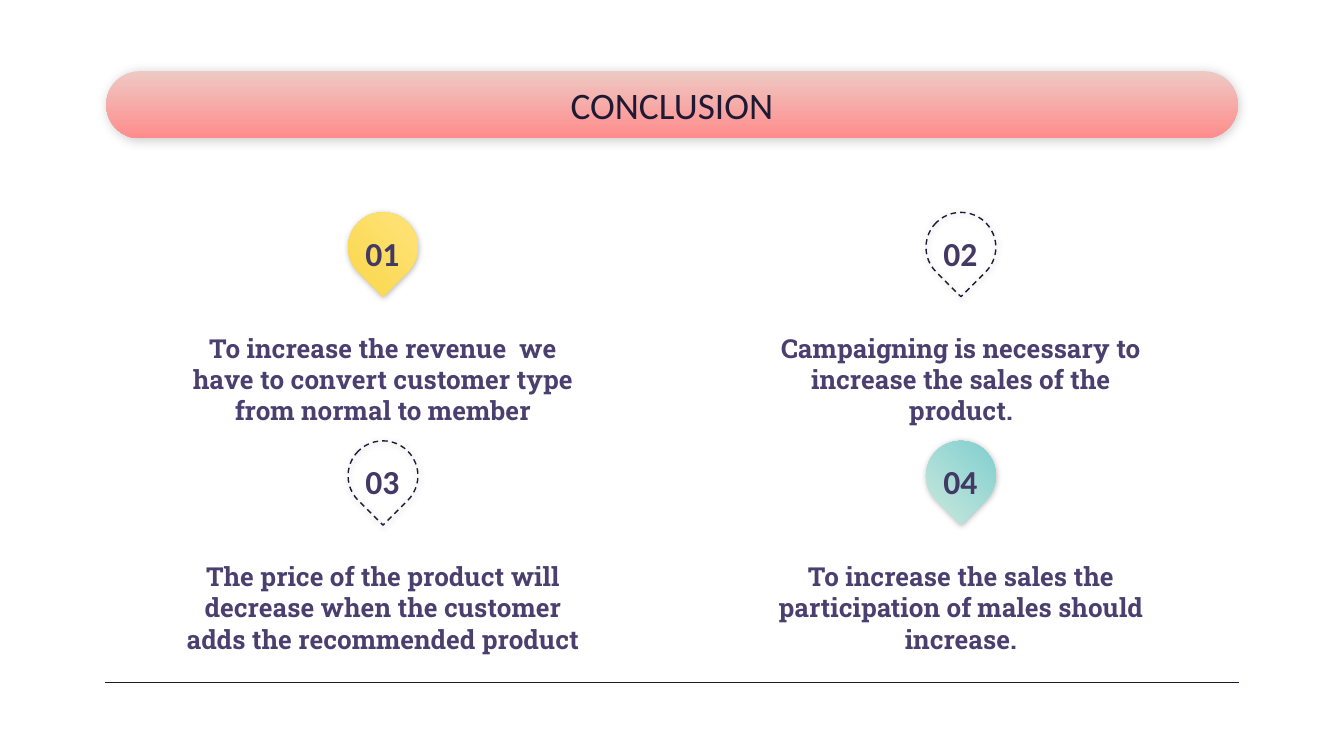
from dataclasses import dataclass

from lxml import etree
from pptx import Presentation
from pptx.dml.color import RGBColor
from pptx.enum.dml import MSO_LINE
from pptx.enum.shapes import MSO_CONNECTOR, MSO_SHAPE as SHAPE
from pptx.enum.text import MSO_ANCHOR as ANCHOR, PP_ALIGN as ALIGN
from pptx.oxml.ns import qn
from pptx.util import Inches, Pt


@dataclass(frozen=True)
class Theme:
    ink: str = "1F1A33"
    number: str = "423A64"
    body: str = "49406F"
    coral: tuple = ("EEC9C3", "FF8C8C")
    yellow: tuple = ("FAD647", "FFE582")
    teal: tuple = ("D4EBDE", "70CACD")
    sans: str = "Calibri"
    slab: str = "Roboto Slab"
    title_size: int = 20
    number_size: int = 18
    body_size: int = 14


theme = Theme()
deck = Presentation()
deck.slide_width, deck.slide_height = Inches(10), Inches(10 * 9 / 16)
page = deck.slides.add_slide(deck.slide_layouts[6])


def add_text(text, *, left, top, width, height, font, size, color,
             bold=False, anchor=ANCHOR.TOP):
    box = page.shapes.add_textbox(
        Inches(left), Inches(top), Inches(width), Inches(height))
    frame = box.text_frame
    frame.word_wrap = True
    frame.vertical_anchor = anchor
    frame.margin_left = frame.margin_right = Inches(0.1)
    frame.margin_top = frame.margin_bottom = Inches(0.1)
    para = frame.paragraphs[0]
    para.alignment = ALIGN.CENTER
    span = para.add_run()
    span.text = text
    span.font.name = font
    span.font.size = Pt(size)
    span.font.bold = bold
    span.font.color.rgb = RGBColor.from_string(color)


def style_shape(shape, *, gradient, blur, opacity):
    """Fill with a vertical gradient, or dash the outline if there is none; add a soft shadow."""
    if gradient:
        shape.fill.gradient()
        shape.fill.gradient_angle = 270
        for stop, color, position in zip(shape.fill.gradient_stops, gradient, (0, 1)):
            stop.color.rgb = RGBColor.from_string(color)
            stop.position = position
        shape.line.fill.background()
    else:
        shape.fill.background()
        shape.line.color.rgb = RGBColor.from_string(theme.ink)
        shape.line.width = Pt(0.75)
        shape.line.dash_style = MSO_LINE.DASH
    shape.shadow.inherit = False
    effects = shape._element.spPr.find(qn("a:effectLst"))
    shadow = etree.SubElement(
        effects, qn("a:outerShdw"), blurRad=str(Pt(blur)), dist=str(Pt(0.8)),
        dir=str(66 * 60000), algn="bl", rotWithShape="0")
    tone = etree.SubElement(shadow, qn("a:srgbClr"), val="000000")
    etree.SubElement(tone, qn("a:alpha"), val=str(opacity * 1000))


# Title bar and bottom rule
bar = page.shapes.add_shape(
    SHAPE.ROUNDED_RECTANGLE, Inches(0.79), Inches(0.53), Inches(8.42), Inches(0.5))
bar.adjustments[0] = 0.5
style_shape(bar, gradient=theme.coral, blur=5.6, opacity=20)

rule = page.shapes.add_connector(
    MSO_CONNECTOR.STRAIGHT, Inches(0.78), Inches(5.08), Inches(9.22), Inches(5.08))
rule.line.color.rgb = RGBColor.from_string(theme.ink)
rule.line.width = Pt(0.75)
etree.SubElement(rule._element.spPr, qn("a:effectLst"))

add_text("CONCLUSION", left=2.47, top=0.53, width=5.06, height=0.5,
         font=theme.sans, size=theme.title_size, color=theme.ink, anchor=ANCHOR.MIDDLE)

# Four conclusions, two to a row, each under a numbered pin
conclusions = [
    ("To increase the revenue  we have to convert customer type from normal to member",
     theme.yellow),
    ("Campaigning is necessary to increase the sales of the product.", None),
    ("The price of the product will decrease when the customer adds the recommended product",
     None),
    ("To increase the sales the participation of males should increase.", theme.teal),
]
for index, (conclusion, gradient) in enumerate(conclusions):
    row, column = divmod(index, 2)
    center = 2.85 + 4.3 * column
    top = 1.58 + 1.7 * row

    pin = page.shapes.add_shape(
        SHAPE.TEAR, Inches(center - 0.26), Inches(top), Inches(0.52), Inches(0.52))
    pin.rotation = 225
    pin._element.spPr.xfrm.set("flipH", "1")
    style_shape(pin, gradient=gradient, blur=3.4, opacity=30)

    add_text(f"{index + 1:02}", left=center - 0.33, top=top + 0.05, width=0.65, height=0.32,
             font=theme.sans, size=theme.number_size, color=theme.number, bold=True)
    add_text(conclusion, left=center - 1.57, top=top + 0.79, width=3.14, height=0.86 if row else 0.8,
             font=theme.slab, size=theme.body_size, color=theme.body, bold=True)

deck.save("out.pptx")
